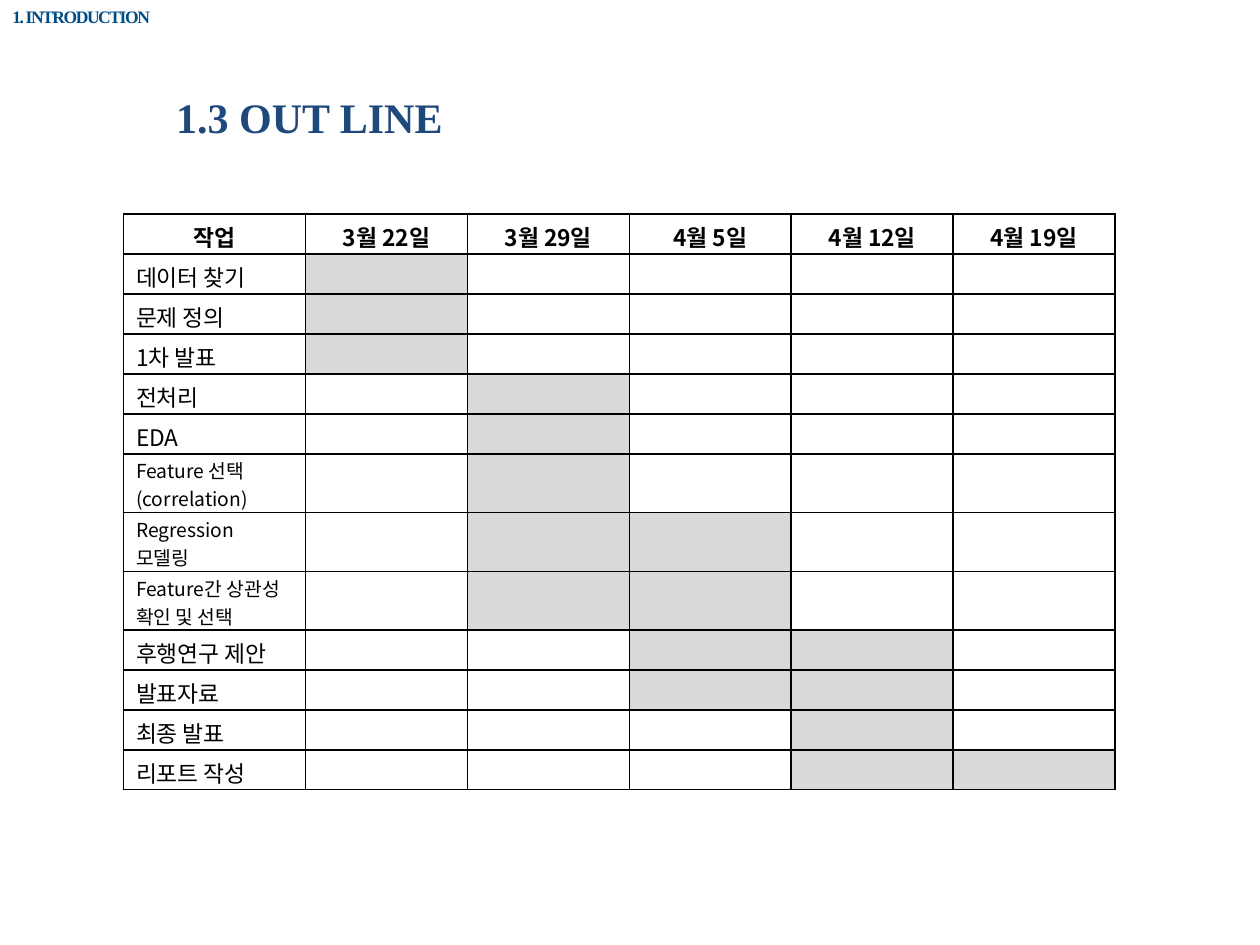
import pptx
import pptx.dml.color
import pptx.enum.text
import pptx.oxml
import pptx.oxml.ns
import pptx.util

WIDTH, HEIGHT = 10, 7.5
SERIF, SANS = "Times New Roman", "Noto Sans CJK KR"
BLACK, WHITE, GREY = "000000", "FFFFFF", "D9D9D9"
DATES = ["3월 22일", "3월 29일", "4월 5일", "4월 12일", "4월 19일"]
TASKS = [
    ("데이터 찾기", 1, 1),
    ("문제 정의", 1, 1),
    ("1차 발표", 1, 1),
    ("전처리", 2, 2),
    ("EDA", 2, 2),
    ("Feature 선택 (correlation)", 2, 2),
    ("Regression\n모델링", 2, 3),
    ("Feature간 상관성\n확인 및 선택", 2, 3),
    ("후행연구 제안", 3, 4),
    ("발표자료", 3, 4),
    ("최종 발표", 4, 4),
    ("리포트 작성", 4, 5),
]
TALL_ROWS = (6, 7, 8)
TASK_SHARE = 1.45 / 7.9
TALL_RATIO = 1.47


def color(value):
    return pptx.dml.color.RGBColor.from_string(value)


def element(parent, tag, **attributes):
    child = parent.makeelement(pptx.oxml.ns.qn(tag), attributes)
    parent.append(child)
    return child


def write(frame, text, size=13, font=SANS, ink=BLACK, bold=False, align="LEFT", spacing=None):
    for index, line in enumerate(text.split("\n")):
        para = frame.add_paragraph() if index else frame.paragraphs[0]
        para.alignment = getattr(pptx.enum.text.PP_ALIGN, align)
        if not line:
            element(para._p, "a:endParaRPr", sz=str(size * 100))
            continue
        span = para.add_run()
        span.text = line
        span.font.size = pptx.util.Pt(size)
        span.font.name = font
        span.font.bold = bold
        span.font.color.rgb = color(ink)
        properties = span.font._element
        element(properties, "a:ea", typeface=font)
        if spacing is not None:
            properties.set("spc", str(round(spacing * 100)))


def heading(page, box, text, **style):
    shape = page.shapes.add_textbox(*map(pptx.util.Inches, box))
    shape.text_frame.word_wrap = False
    write(shape.text_frame, text, font=SERIF, bold=True, **style)


def border(cell):
    properties = cell._tc.get_or_add_tcPr()
    for index, side in enumerate(("a:lnL", "a:lnR", "a:lnT", "a:lnB")):
        line = properties.makeelement(pptx.oxml.ns.qn(side), {"w": str(pptx.util.Pt(1))})
        element(element(line, "a:solidFill"), "a:srgbClr", val=BLACK)
        properties.insert(index, line)


def schedule(page, box):
    left, top, width, height = box
    rows, columns = len(TASKS) + 1, len(DATES) + 1
    table = page.shapes.add_table(rows, columns, *map(pptx.util.Inches, box)).table
    table.first_row = table.horz_banding = False

    task_width = width * TASK_SHARE
    for index, column in enumerate(table.columns):
        column.width = pptx.util.Inches((width - task_width) / len(DATES) if index else task_width)
    unit = height / (rows + len(TALL_ROWS) * (TALL_RATIO - 1))

    for row in range(rows):
        tall = row in TALL_ROWS
        table.rows[row].height = pptx.util.Inches(unit * (TALL_RATIO if tall else 1))
        task, first, last = TASKS[row - 1] if row else ("작업", 0, 0)
        for column in range(columns):
            cell = table.cell(row, column)
            cell.margin_top = pptx.util.Inches(0.02 if tall else 0.05)
            cell.margin_bottom = 0
            shaded = row and first <= column <= last
            cell.fill.solid()
            cell.fill.fore_color.rgb = color(GREY if shaded else WHITE)
            border(cell)
            if column == 0:
                text = task
            else:
                text = "" if row else DATES[column - 1]
            write(cell.text_frame, text, size=11 if tall else 13, bold=row == 0,
                  align="LEFT" if row else "CENTER")


def main():
    deck = pptx.Presentation()
    deck.slide_width = pptx.util.Inches(WIDTH)
    deck.slide_height = pptx.util.Inches(HEIGHT)
    page = deck.slides.add_slide(deck.slide_layouts[6])
    heading(page, (0, 0, WIDTH * 0.13, HEIGHT * 0.036), "1. INTRODUCTION",
            size=10, ink="004C86", spacing=-0.8)
    heading(page, (WIDTH * 0.13, HEIGHT * 0.09, WIDTH * 0.45, HEIGHT * 0.067), "1.3 OUT LINE",
            size=24, ink="1F497D")
    schedule(page, (0.98, 1.7, 7.87, 4.57))
    deck.save("out.pptx")


if __name__ == "__main__":
    main()
